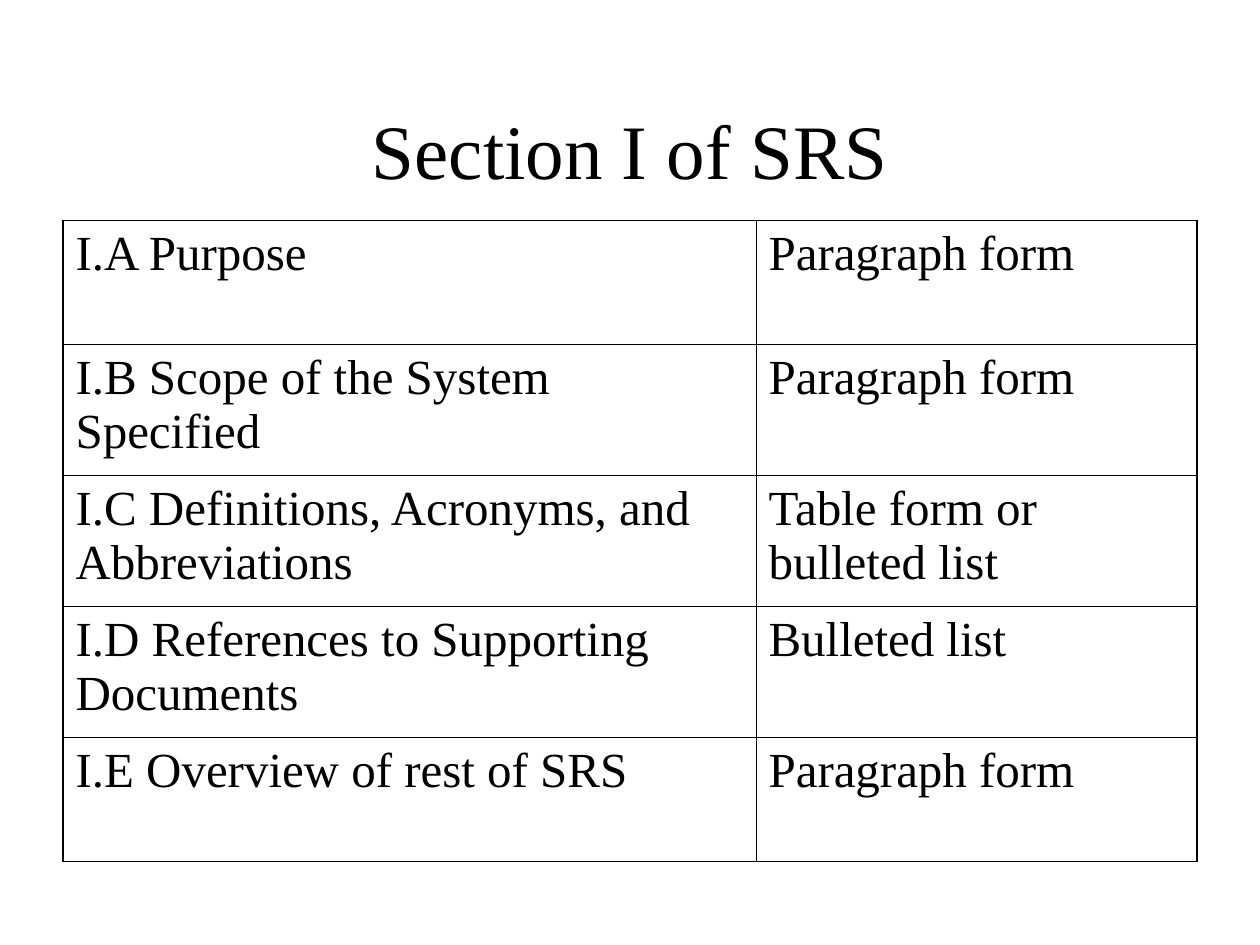
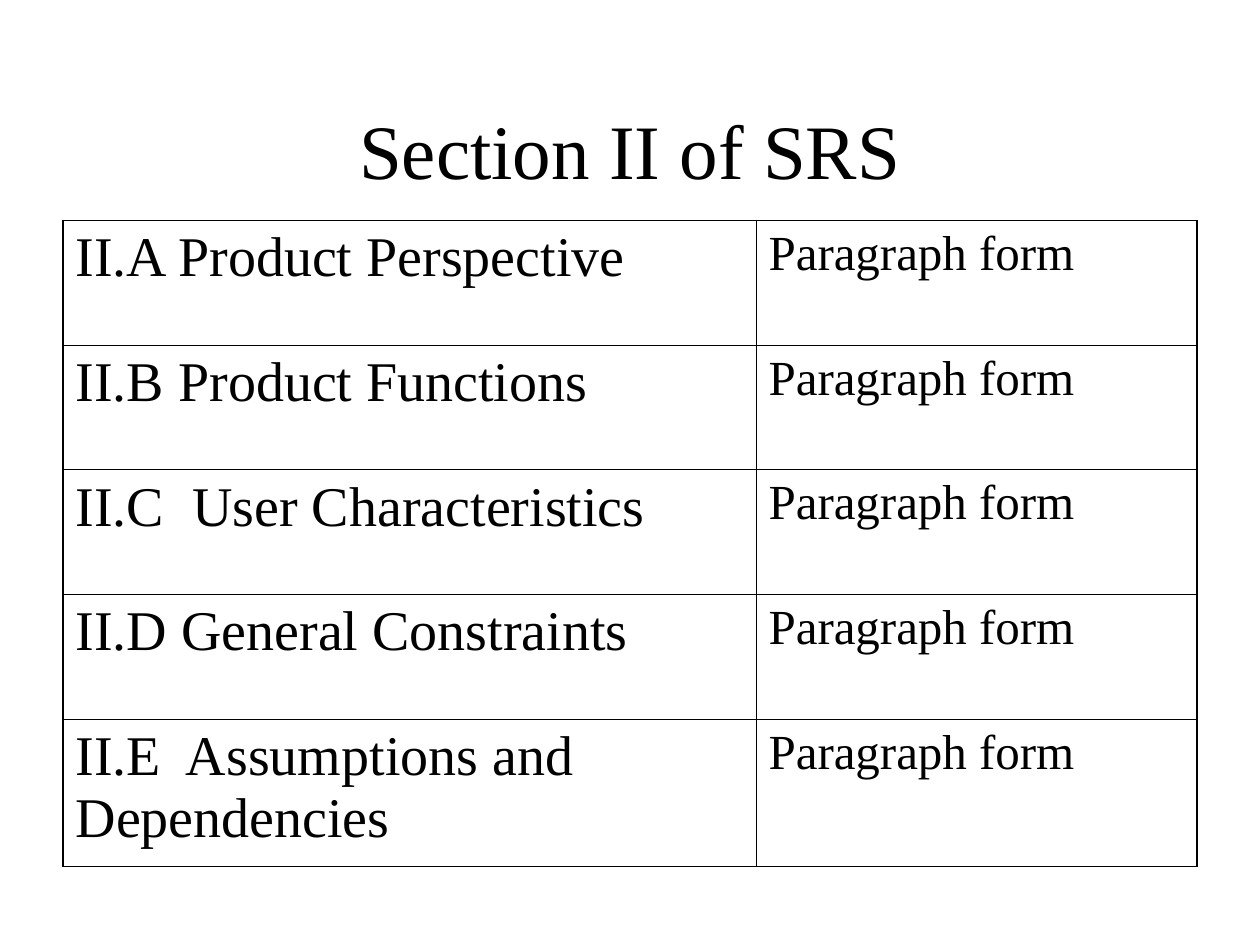
from lxml.etree import SubElement
from pptx import Presentation
from pptx.dml.color import RGBColor
from pptx.enum.text import MSO_ANCHOR, PP_ALIGN
from pptx.oxml.ns import qn
from pptx.util import Pt

COLORS = {"ink": "000000", "paper": "FFFFFF"}
FONT = "Times New Roman"
THICK, THIN = 1.08, 0.45

# Boxes are left, top, width, height in points
TITLE = (54, 48, 612, 74)
GRID = (36, 126, 648)
SPLIT = (5.5, 3.5)

SECTIONS = [
    {
        "title": "Section I of SRS",
        "sizes": (28, 28),
        "heights": (71, 74.75, 74.75, 74.75, 71),
        "rows": [
            ("I.A Purpose", "Paragraph form"),
            ("I.B Scope of the System Specified", "Paragraph form"),
            ("I.C Definitions, Acronyms, and Abbreviations",
             "Table form or bulleted list"),
            ("I.D References to Supporting Documents", "Bulleted list"),
            ("I.E Overview of rest of SRS", "Paragraph form"),
        ],
    },
    {
        "title": "Section II of SRS",
        "sizes": (32, 28),
        "heights": (71.25, 71.25, 71.25, 71.25, 84.25),
        "rows": [(name, "Paragraph form") for name in (
            "II.A Product Perspective",
            "II.B Product Functions",
            "II.C  User Characteristics",
            "II.D General Constraints",
            "II.E  Assumptions and Dependencies",
        )],
    },
]


def write(frame, text, size, align=PP_ALIGN.LEFT, before=0, color="ink"):
    """Put one formatted paragraph in a text frame."""
    frame.word_wrap = True
    para = frame.paragraphs[0]
    para.alignment = align
    para.space_before = Pt(before)
    run = para.add_run()
    run.text = text
    run.font.size = Pt(size)
    run.font.name = FONT
    run.font.color.rgb = RGBColor.from_string(COLORS[color])


def edge(cell, side, width):
    """Draw one border of a cell."""
    line = SubElement(cell._tc.get_or_add_tcPr(), qn("a:ln" + side),
                      w=str(int(Pt(width))))
    fill = SubElement(line, qn("a:solidFill"))
    SubElement(fill, qn("a:srgbClr"), val=COLORS["ink"])


def heading(slide, box, text):
    """Centred slide title."""
    shape = slide.shapes.add_textbox(*map(Pt, box))
    shape.text_frame.vertical_anchor = MSO_ANCHOR.MIDDLE
    write(shape.text_frame, text, 44, align=PP_ALIGN.CENTER)


def outline(slide, box, rows, heights, sizes):
    """Two-column table with a thick frame and thin inner lines."""
    left, top, width = box
    frame = slide.shapes.add_table(len(rows), len(SPLIT), Pt(left), Pt(top),
                                   Pt(width), Pt(sum(heights)))
    table = frame.table
    table.first_row = table.horz_banding = False
    for col, part in zip(table.columns, SPLIT):
        col.width = Pt(width * part / sum(SPLIT))
    for row, height in zip(table.rows, heights):
        row.height = Pt(height)

    for r, texts in enumerate(rows):
        for c, (text, size) in enumerate(zip(texts, sizes)):
            cell = table.cell(r, c)
            outer = {"L": c == 0, "R": c == len(SPLIT) - 1,
                     "T": r == 0, "B": r == len(rows) - 1}
            for side, thick in outer.items():
                edge(cell, side, THICK if thick else THIN)
            cell.fill.background()
            cell.margin_left = cell.margin_right = Pt(7.2)
            cell.margin_top = cell.margin_bottom = Pt(3.6)
            write(cell.text_frame, text, size, before=size // 4)


def section(deck, title, rows, heights, sizes):
    """One slide: title above its outline table."""
    slide = deck.slides.add_slide(deck.slide_layouts[6])
    back = slide.background.fill
    back.solid()
    back.fore_color.rgb = RGBColor.from_string(COLORS["paper"])
    heading(slide, TITLE, title)
    outline(slide, GRID, rows, heights, sizes)


deck = Presentation()
deck.slide_width, deck.slide_height = Pt(720), Pt(540)
for item in SECTIONS:
    section(deck, **item)
deck.save("out.pptx")
